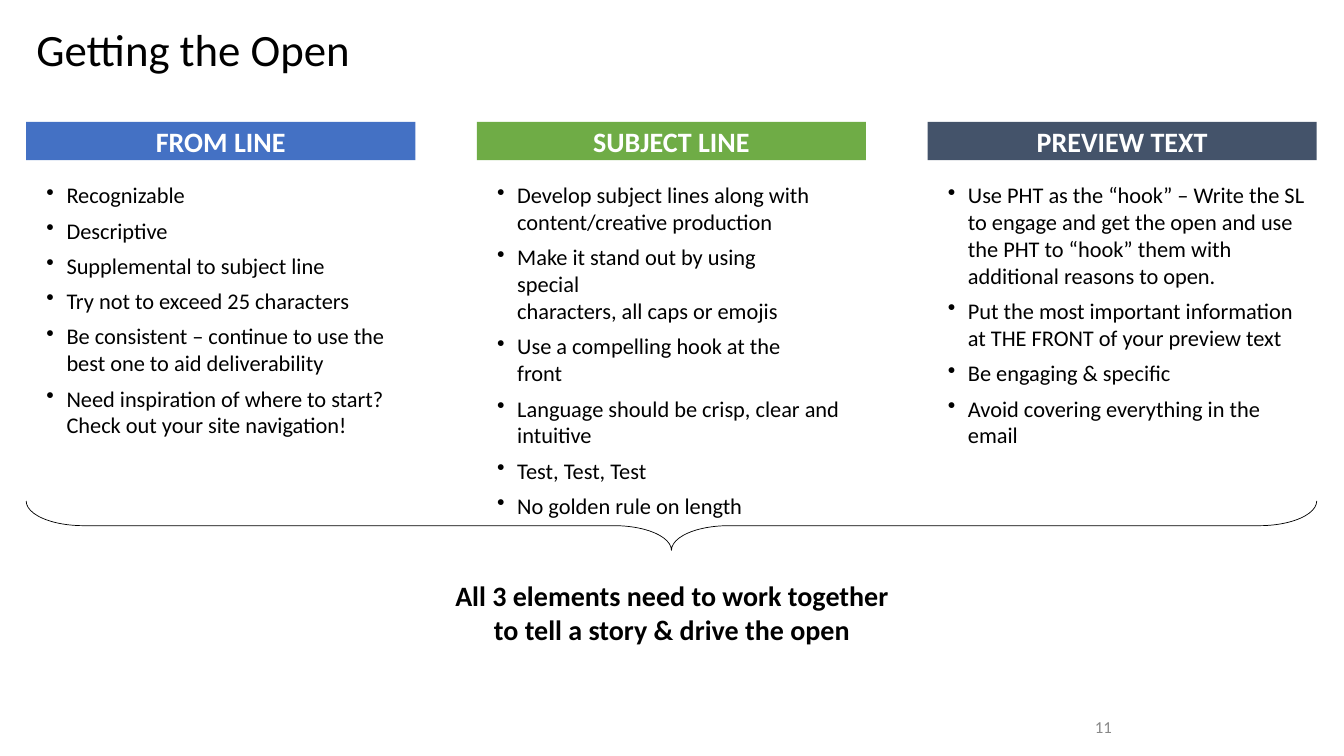
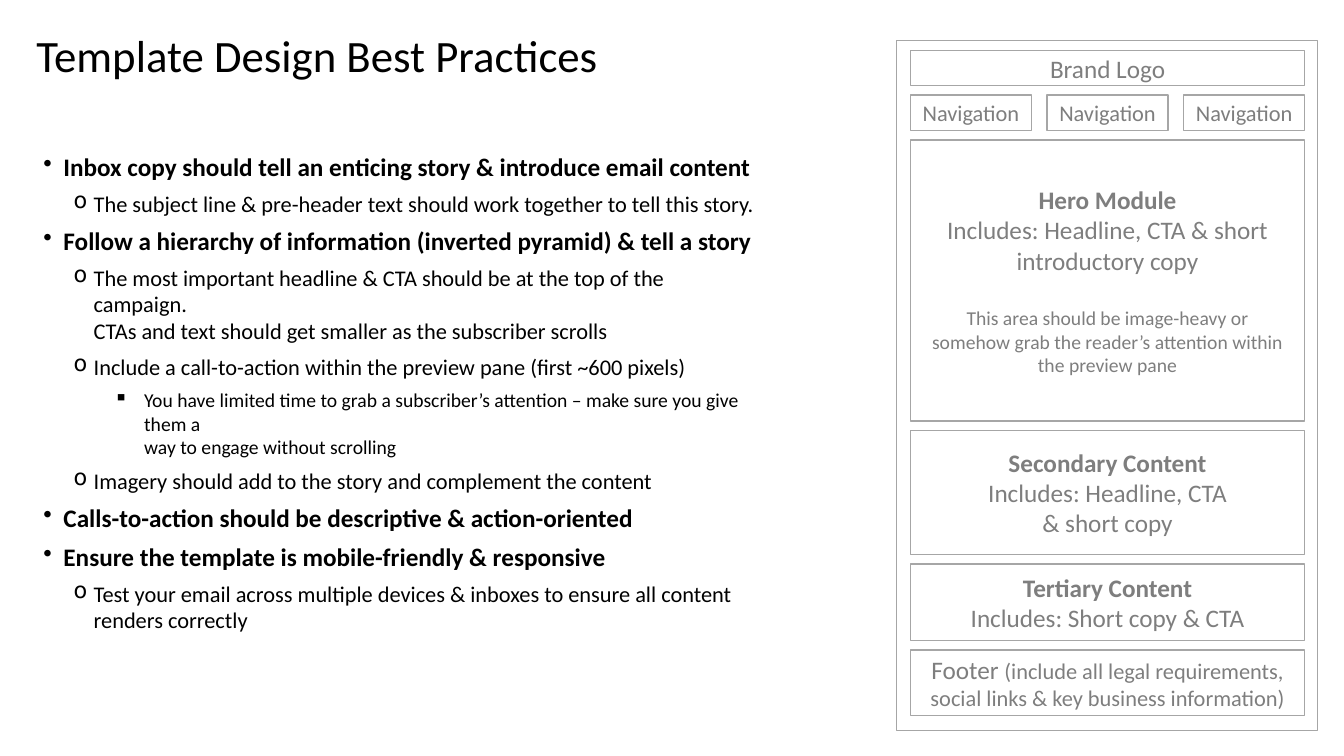
"""Build two slides on email opens and email template design."""
from pptx import Presentation
from pptx.dml.color import RGBColor
from pptx.enum.shapes import MSO_SHAPE as Shape
from pptx.enum.text import MSO_ANCHOR as Anchor, MSO_AUTO_SIZE as AutoSize, PP_ALIGN as Align
from pptx.oxml.ns import qn
from pptx.util import Inches, Pt
from lxml.etree import SubElement

BLACK = RGBColor(0x00, 0x00, 0x00)
WHITE = RGBColor(0xFF, 0xFF, 0xFF)
BLUE = RGBColor(0x44, 0x71, 0xC4)
GREEN = RGBColor(0x6F, 0xAC, 0x46)
SLATE = RGBColor(0x44, 0x53, 0x6A)
FRAME_GRAY = RGBColor(0xA6, 0xA6, 0xA6)
TEXT_GRAY = RGBColor(0x7E, 0x7E, 0x7E)
NUMBER_GRAY = RGBColor(0x88, 0x88, 0x88)

FONT = "Calibri"
SLIDE_WIDTH, SLIDE_HEIGHT = 13.33, 7.5
TITLE_LEFT = 0.36

COLUMN_LEFT, COLUMN_WIDTH, COLUMN_STEP = 0.26, 3.86, 4.47
COLUMN_PADDING = 0.19
BAND_TOP, BAND_HEIGHT, BULLETS_TOP = 1.21, 0.38, 1.8

FRAME_LEFT, FRAME_TOP, FRAME_WIDTH, FRAME_HEIGHT = 8.89, 0.4, 4.18, 6.85
MODULE_LEFT, MODULE_WIDTH = 9.03, 3.91
MODULES_TOP, MODULES_BOTTOM = 0.5, 7.1
NAVIGATION_COUNT, NAVIGATION_WIDTH = 3, 1.2

COLUMNS = (
    ("FROM LINE", BLUE, (
        "Recognizable",
        "Descriptive",
        "Supplemental to subject line",
        "Try not to exceed 25 characters",
        "Be consistent – continue to use the best one to aid deliverability",
        "Need inspiration of where to start?\nCheck out your site navigation!",
    )),
    ("SUBJECT LINE", GREEN, (
        "Develop subject lines along with content/creative production",
        "Make it stand out by using\nspecial\ncharacters, all caps or emojis",
        "Use a compelling hook at the\nfront",
        "Language should be crisp, clear and intuitive",
        "Test, Test, Test",
        "No golden rule on length",
    )),
    ("PREVIEW TEXT", SLATE, (
        "Use PHT as the “hook” – Write the SL to engage and get the open and use "
        "the PHT to “hook” them with additional reasons to open.",
        "Put the most important information at THE FRONT of your preview text",
        "Be engaging & specific",
        "Avoid covering everything in the\nemail",
    )),
)

LEVELS = (
    dict(level=0, size=18, bold=True, indent=0.21, hang=0.2, bullet="•"),
    dict(level=1, size=16, indent=0.51, hang=0.2, bullet="o"),
    dict(level=2, size=14, indent=1.01, hang=0.3, bullet="▪"),
)
PRACTICES = (
    (0, "Inbox copy should tell an enticing story & introduce email content"),
    (1, "The subject line & pre-header text should work together to tell this story."),
    (0, "Follow a hierarchy of information (inverted pyramid) & tell a story"),
    (1, "The most important headline & CTA should be at the top of the\ncampaign.\n"
        "CTAs and text should get smaller as the subscriber scrolls"),
    (1, "Include a call-to-action within the preview pane (first ~600 pixels)"),
    (2, "You have limited time to grab a subscriber’s attention – make sure you give\n"
        "them a\nway to engage without scrolling"),
    (1, "Imagery should add to the story and complement the content"),
    (0, "Calls-to-action should be descriptive & action-oriented"),
    (0, "Ensure the template is mobile-friendly & responsive"),
    (1, "Test your email across multiple devices & inboxes to ensure all content\n"
        "renders correctly"),
)


def add_span(para, text, size, color=BLACK, bold=False):
    """Append a formatted run to a paragraph."""
    span = para.add_run()
    span.text = text
    span.font.name, span.font.size, span.font.bold = FONT, Pt(size), bold
    span.font.color.rgb = color


def write(frame, text, size, color=BLACK, bold=False, align=Align.LEFT,
          before=0, level=0, indent=0, hang=0, bullet=None):
    """Write each line of text as a paragraph, with a bullet on the first only."""
    for index, line in enumerate(text.split("\n")):
        started = bool(frame.paragraphs[0].runs)
        para = frame.add_paragraph() if started else frame.paragraphs[0]
        para.alignment, para.level = align, level
        para.space_before = Pt(before if started and index == 0 else 0)
        if indent:
            properties = para._p.get_or_add_pPr()
            properties.set("marL", str(Inches(indent)))
            marked = bullet and index == 0
            properties.set("indent", str(-Inches(hang) if marked else 0))
            if marked:
                SubElement(properties, qn("a:buChar")).set("char", bullet)
        add_span(para, line, size, color, bold)


def prepare(frame, anchor=Anchor.TOP):
    """Give a text frame wrapping, no insets and an anchor."""
    frame.word_wrap, frame.auto_size = True, AutoSize.NONE
    frame.margin_left = frame.margin_right = frame.margin_top = frame.margin_bottom = 0
    frame.vertical_anchor = anchor
    return frame


def add_text_box(page, left, top, width, height):
    """Add a text box and return its text frame."""
    box = page.shapes.add_textbox(Inches(left), Inches(top), Inches(width), Inches(height))
    return prepare(box.text_frame)


def add_panel(page, left, top, width, height, fill=None, line=None, weight=1,
              shape=Shape.RECTANGLE):
    """Add a shadowless shape with an optional fill and outline."""
    panel = page.shapes.add_shape(shape, Inches(left), Inches(top), Inches(width), Inches(height))
    panel.shadow.inherit = False
    if fill is None:
        panel.fill.background()
    else:
        panel.fill.solid()
        panel.fill.fore_color.rgb = fill
    if line is None:
        panel.line.fill.background()
    else:
        panel.line.color.rgb, panel.line.width = line, Pt(weight)
    prepare(panel.text_frame, Anchor.MIDDLE)
    return panel


def add_page(deck, title, top, width):
    """Add a title-only slide with the shared title style."""
    page = deck.slides.add_slide(deck.slide_layouts[5])
    holder = page.shapes.title
    holder.left, holder.top = Inches(TITLE_LEFT), Inches(top)
    holder.width, holder.height = Inches(width), Inches(0.6)
    write(prepare(holder.text_frame), title, size=32)
    return page


def add_column(page, index, heading, color, bullets):
    """Add one coloured heading band with its bullet list."""
    left = COLUMN_LEFT + index * COLUMN_STEP
    band = add_panel(page, left, BAND_TOP, COLUMN_WIDTH, BAND_HEIGHT, fill=color)
    write(band.text_frame, heading, size=20, color=WHITE, bold=True, align=Align.CENTER)
    frame = add_text_box(page, left + COLUMN_PADDING, BULLETS_TOP, 3.58, 3.4)
    for text in bullets:
        write(frame, text, size=16, before=6, indent=0.21, hang=0.2, bullet="•")


def add_brace(page, left, top, width, height):
    """Add a wide brace that points down."""
    brace = add_panel(page, left + (width - height) / 2, top + (height - width) / 2,
                      height, width, line=BLACK, weight=0.5, shape=Shape.LEFT_BRACE)
    brace.rotation = 270
    brace.adjustments[0] = 1.16


def add_module(page, top, height, *lines, left=MODULE_LEFT, width=MODULE_WIDTH):
    """Add an outlined wireframe block with centred lines of text."""
    module = add_panel(page, left, top, width, height, line=FRAME_GRAY)
    for text, style in lines:
        write(module.text_frame, text, color=TEXT_GRAY, align=Align.CENTER, **style)
    return module


def add_navigation(page, top, height):
    """Add the row of equally spaced navigation blocks."""
    step = (MODULE_WIDTH - NAVIGATION_WIDTH) / (NAVIGATION_COUNT - 1)
    for index in range(NAVIGATION_COUNT):
        add_module(page, top, height, ("Navigation", dict(size=16)),
                   left=MODULE_LEFT + index * step, width=NAVIGATION_WIDTH)


def add_wireframe(page):
    """Add the framed email template with its stacked modules."""
    add_panel(page, FRAME_LEFT, FRAME_TOP, FRAME_WIDTH, FRAME_HEIGHT, line=FRAME_GRAY)
    heading, plain = dict(size=18, bold=True), dict(size=18)
    stack = (
        (0.35, (("Brand Logo", plain),)),
        (0.35, None),
        (2.79, (("Hero Module", heading),
                ("Includes: Headline, CTA & short\nintroductory copy", plain),
                ("This area should be image-heavy or\nsomehow grab the reader’s attention "
                 "within\nthe preview pane", dict(size=14, before=22)))),
        (1.23, (("Secondary Content", heading),
                ("Includes: Headline, CTA\n& short copy", plain))),
        (0.76, (("Tertiary Content", heading), ("Includes: Short copy & CTA", plain))),
        (0.65, (("Footer ", plain),
                ("social links & key business information)", dict(size=16)))),
    )
    filled = sum(height for height, _ in stack)
    gap = (MODULES_BOTTOM - MODULES_TOP - filled) / (len(stack) - 1)
    top = MODULES_TOP
    for height, lines in stack:
        if lines is None:
            add_navigation(page, top, height)
        else:
            module = add_module(page, top, height, *lines)
        top += height + gap
    footer_para = module.text_frame.paragraphs[0]
    add_span(footer_para, "(include all legal requirements,", 16, TEXT_GRAY)


def build_open_page(deck):
    """Build the slide on the three elements that earn an open."""
    page = add_page(deck, "Getting the Open", top=0.22, width=12.6)
    for index, column in enumerate(COLUMNS):
        add_column(page, index, *column)
    add_brace(page, COLUMN_LEFT, 4.97, 2 * COLUMN_STEP + COLUMN_WIDTH, 0.49)
    summary = add_text_box(page, SLIDE_WIDTH / 3, 5.74, SLIDE_WIDTH / 3, 0.7)
    write(summary, "All 3 elements need to work together\nto tell a story & drive the open",
          size=20, bold=True, align=Align.CENTER)
    write(add_text_box(page, 10.86, 7.11, 0.27, 0.2), "11", size=12, color=NUMBER_GRAY)


def build_template_page(deck):
    """Build the slide on template design with its wireframe."""
    page = add_page(deck, "Template Design Best Practices", top=0.27, width=7)
    frame = add_text_box(page, 0.42, 1.5, 7.54, 4.9)
    for level, text in PRACTICES:
        write(frame, text, before=6, **LEVELS[level])
    add_wireframe(page)


def main():
    """Build and save the deck."""
    deck = Presentation()
    deck.slide_width, deck.slide_height = Inches(SLIDE_WIDTH), Inches(SLIDE_HEIGHT)
    build_open_page(deck)
    build_template_page(deck)
    deck.save("out.pptx")


if __name__ == "__main__":
    main()
